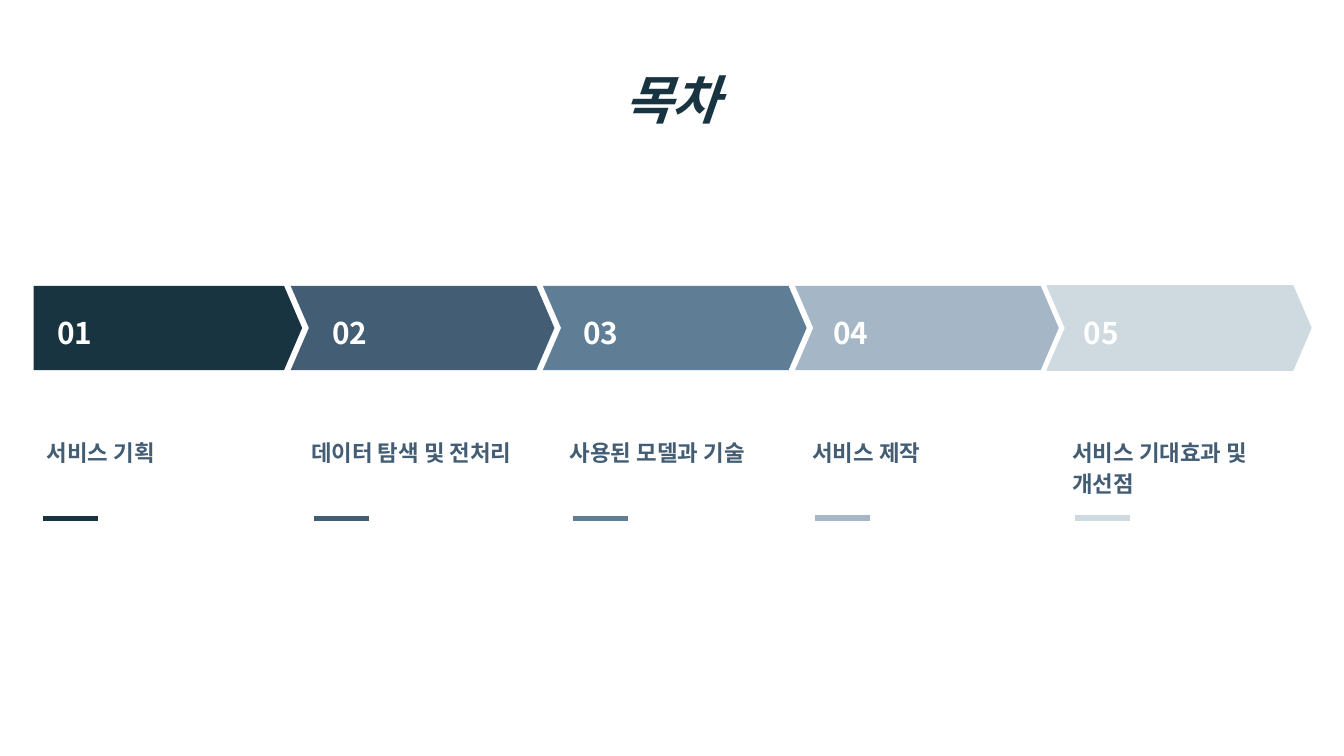
from dataclasses import dataclass

import pptx
import pptx.dml.color
import pptx.enum.shapes
import pptx.enum.text
import pptx.oxml.ns
import pptx.util
from lxml import etree

Pt = pptx.util.Pt
BODY_FONT = "Noto Sans CJK KR"
TITLE_COLOR = "193441"
LABEL_COLOR = "435D74"
ARROW_LEFT, ARROW_STEP = 20.6, 135.1
ARROW_TOP, ARROW_HEIGHT = 153.1, 45.2
SHOULDER, TIP, NOTCH = 131.6, 141.3, 9.8


@dataclass
class Section:
    number: str
    label: str
    color: str
    number_left: float
    label_left: float
    label_width: float
    rule_left: float
    rule_y: float


SECTIONS = [
    Section("01", "서비스 기획", "193441", 23.6, 18, 128.9, 23, 277.8),
    Section("02", "데이터 탐색 및 전처리", "435D74", 170.9, 159.6, 125.3, 168.3, 277.8),
    Section("03", "사용된 모델과 기술", "5F7D95", 305.4, 298.2, 125.3, 307, 277.8),
    Section("04", "서비스 제작", "A5B7C6", 439.3, 428.1, 125.3, 436.7, 277.4),
    Section("05", "서비스 기대효과 및 개선점", "CFD9E0", 573.6, 567.4, 125.3, 576, 277.4),
]


def rgb(color: str) -> pptx.dml.color.RGBColor:
    return pptx.dml.color.RGBColor.from_string(color)


def add_text(s, text: str, left: float, top: float, width: float, height: float,
             size: float, color: str, font: str = BODY_FONT, title: bool = False) -> None:
    tf = s.shapes.add_textbox(Pt(left), Pt(top), Pt(width), Pt(height)).text_frame
    tf.word_wrap = True
    tf.margin_left = tf.margin_right = tf.margin_top = tf.margin_bottom = Pt(7.2)
    p = tf.paragraphs[0]
    if title:
        tf.vertical_anchor = pptx.enum.text.MSO_ANCHOR.MIDDLE
        p.alignment = pptx.enum.text.PP_ALIGN.CENTER
    else:
        p.line_spacing = 1.14
    r = p.add_run()
    r.text = text
    r.font.size = Pt(size)
    r.font.bold = True
    if title:
        r.font.italic = True
    r.font.color.rgb = rgb(color)
    r.font.name = font
    # Korean glyphs take the East Asian font
    ea = etree.SubElement(r.font._element, pptx.oxml.ns.qn("a:ea"))
    ea.set("typeface", font)


def add_arrow(s, index: int, color: str, last: bool) -> None:
    """Draw one chevron; the first has a flat left edge, the last an outline."""
    x = ARROW_LEFT + index * ARROW_STEP
    top, bottom = ARROW_TOP, ARROW_TOP + ARROW_HEIGHT
    middle = (top + bottom) / 2
    left = x if index else 18
    points = [(left, bottom), (x + SHOULDER, bottom), (x + TIP, middle), (x + SHOULDER, top)]
    if index:
        points.insert(0, (x + NOTCH, middle))
    builder = s.shapes.build_freeform(Pt(left), Pt(top))
    builder.add_line_segments([(Pt(px), Pt(py)) for px, py in points], close=True)
    sp = builder.convert_to_shape()
    sp.shadow.inherit = False
    sp.fill.solid()
    sp.fill.fore_color.rgb = rgb(color)
    if last:
        sp.line.color.rgb = rgb(color)
        sp.line.width = Pt(0.75)
    else:
        sp.line.fill.background()


def add_rule(s, left: float, y: float, color: str) -> None:
    line = s.shapes.add_connector(pptx.enum.shapes.MSO_CONNECTOR.STRAIGHT,
                                  Pt(left), Pt(y), Pt(left + 29.4), Pt(y))
    line.line.color.rgb = rgb(color)
    line.line.width = Pt(3)
    etree.SubElement(line._element.spPr, pptx.oxml.ns.qn("a:effectLst"))


def main() -> None:
    prs = pptx.Presentation()
    prs.slide_width, prs.slide_height = Pt(720), Pt(405)
    s = prs.slides.add_slide(prs.slide_layouts[6])
    add_text(s, "목차", 0, 30.4, 720, 45.1, 28, TITLE_COLOR, "Roboto", title=True)
    for i, item in enumerate(SECTIONS):
        add_arrow(s, i, item.color, last=i == len(SECTIONS) - 1)
        add_text(s, item.number, item.number_left, 159, 103, 33.8, 16, "FFFFFF")
        add_text(s, item.label, item.label_left, 226.1, item.label_width, 54, 12, LABEL_COLOR)
        add_rule(s, item.rule_left, item.rule_y, item.color)
    prs.save("out.pptx")


if __name__ == "__main__":
    main()
